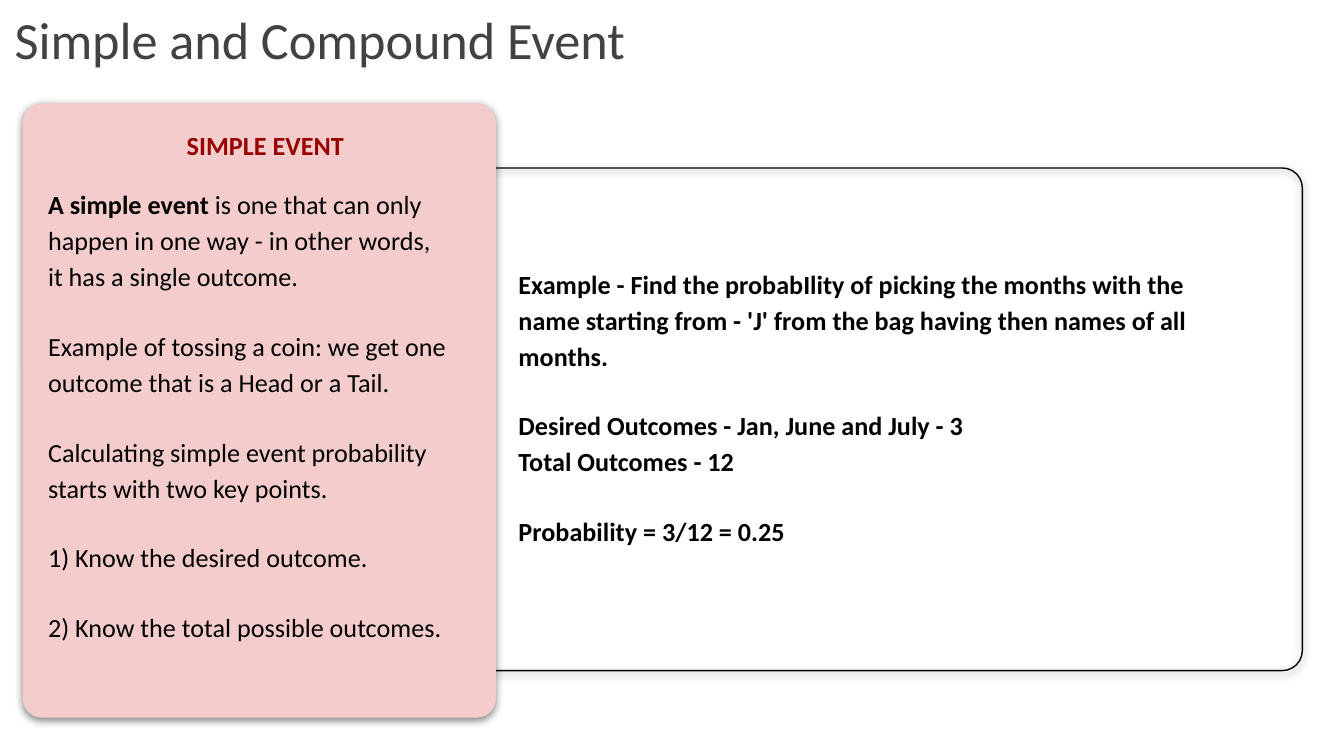
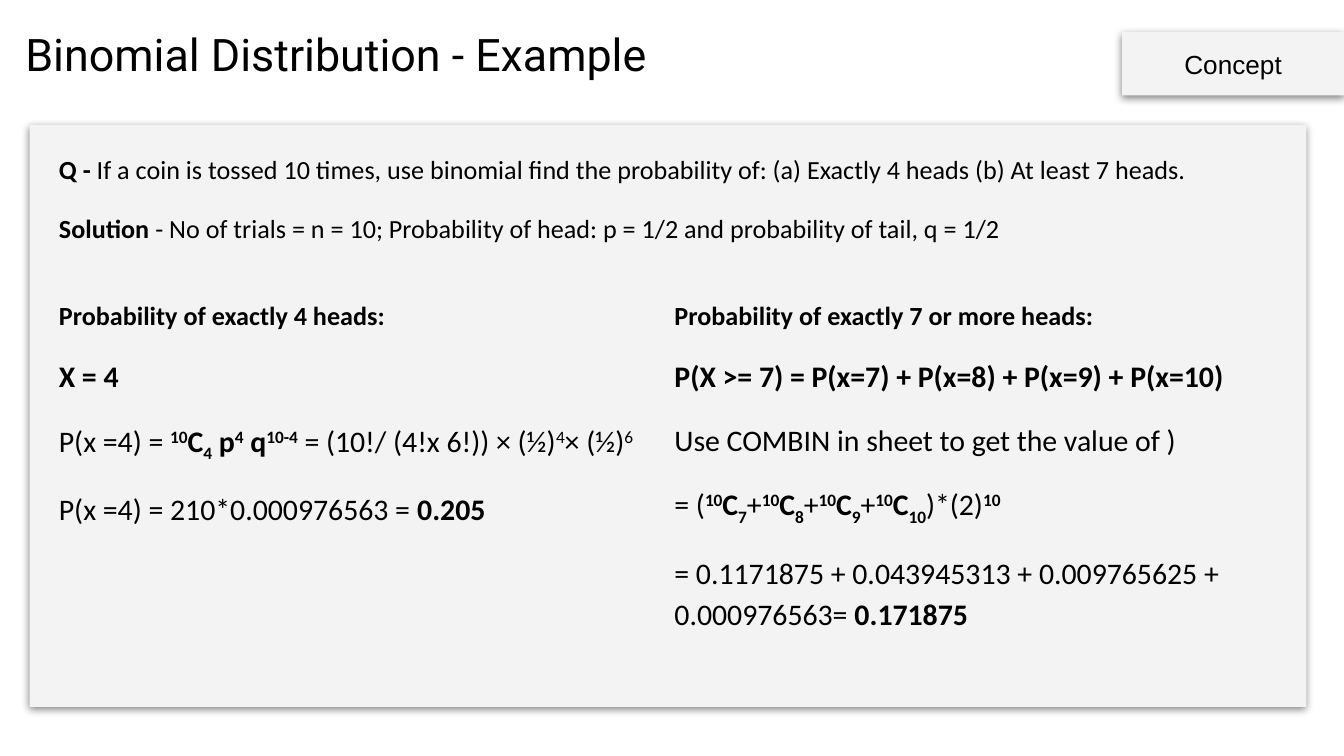
from lxml.etree import SubElement
from pptx import Presentation
from pptx.dml.color import RGBColor
from pptx.enum.shapes import MSO_SHAPE
from pptx.enum.text import MSO_ANCHOR, PP_ALIGN
from pptx.oxml.ns import qn
from pptx.util import Emu, Pt

PX = 9144  # EMU, 100 px to the inch
INSET = 10
BLACK = RGBColor(0x00, 0x00, 0x00)
GREY = RGBColor(0x42, 0x42, 0x42)
LIGHT = RGBColor(0xF3, 0xF3, 0xF3)
PINK = RGBColor(0xF4, 0xCC, 0xCC)
RED = RGBColor(0x98, 0x00, 0x00)
BASELINES = {"^": 30000, "_": -25000}


def split_spans(markup):
    """Cut markup into (text, bold, baseline): ` toggles bold, ^ superscript, _ subscript."""
    spans, text, bold, baseline = [], "", False, 0
    for char in markup + "`":
        if char != "`" and char not in BASELINES:
            text += char
            continue
        if text:
            spans.append((text, bold, baseline))
            text = ""
        if char == "`":
            bold = not bold
        else:
            baseline = 0 if baseline else BASELINES[char]
    return spans


class SlideBuilder:
    def __init__(self, deck, font="Calibri"):
        self.deck = deck
        self.font = font
        self.page = None

    def new_page(self):
        self.page = self.deck.slides.add_slide(self.deck.slide_layouts[6])

    def panel(self, left, top, width, height, fill=None, rounded=False):
        """Add a shadowed panel, outlined in black when it has no fill."""
        kind = MSO_SHAPE.ROUNDED_RECTANGLE if rounded else MSO_SHAPE.RECTANGLE
        panel = self.page.shapes.add_shape(kind, *(Emu(n * PX) for n in (left, top, width, height)))
        if rounded:
            panel.adjustments[0] = 0.04
        if fill is None:
            panel.fill.background()
            panel.line.color.rgb = BLACK
            panel.line.width = Pt(0.75)
        else:
            panel.fill.solid()
            panel.fill.fore_color.rgb = fill
            panel.line.fill.background()
        self.cast_shadow(panel)
        return panel

    def cast_shadow(self, shape):
        shape.shadow.inherit = False
        effects = shape._element.spPr.find(qn("a:effectLst"))
        shadow = SubElement(effects, qn("a:outerShdw"), blurRad=str(Pt(4.5)), dist=str(Pt(1.5)),
                            dir="5400000", algn="bl", rotWithShape="0")
        color = SubElement(shadow, qn("a:srgbClr"), val=str(BLACK))
        SubElement(color, qn("a:alpha"), val="50000")

    def text(self, left, top, width, height, *paragraphs, **style):
        box = self.page.shapes.add_textbox(*(Emu(n * PX) for n in (left, top, width, height)))
        self.set_text(box, *paragraphs, **style)

    def title(self, left, top, width, height, words, **style):
        self.text(left, top, width, height, words, anchor=MSO_ANCHOR.BOTTOM, **style)

    def set_text(self, box, *paragraphs, size=14, lead_size=None, font=None, color=BLACK, gap=0,
                 spacing=1.15, align=PP_ALIGN.LEFT, anchor=MSO_ANCHOR.TOP):
        """Fill a box with marked-up paragraphs; lead_size is the size of the first one."""
        frame = box.text_frame
        frame.word_wrap = True
        frame.vertical_anchor = anchor
        frame.margin_left = frame.margin_right = Emu(INSET * PX)
        frame.margin_top = frame.margin_bottom = Emu(INSET * PX)
        for index, markup in enumerate(paragraphs):
            para = frame.add_paragraph() if index else frame.paragraphs[0]
            para.alignment = align
            para.line_spacing = spacing
            if index:
                para.space_before = Pt(gap)
            para.font.name = font or self.font
            para.font.size = Pt(size if index or lead_size is None else lead_size)
            para.font.color.rgb = color
            self.add_spans(para, split_spans(markup))

    def add_spans(self, para, spans):
        mixed = len({bold for _, bold, _ in spans}) > 1
        if not mixed:
            para.font.bold = spans[0][1]
        for text, bold, baseline in spans:
            for number, line in enumerate(text.split("\n")):
                if number:
                    para.add_line_break()
                span = para.add_run()
                span.text = line
                if mixed:
                    span.font.bold = bold
                if baseline:
                    span._r.get_or_add_rPr().set("baseline", str(baseline))


def add_simple_event(builder):
    builder.new_page()
    builder.panel(354, 125, 615, 374, rounded=True)
    builder.title(1, -1, 932, 63, "Simple and Compound Event", size=28, color=GREY)
    builder.panel(17, 77, 352, 457, fill=PINK, rounded=True)
    builder.text(26, 86, 343, 47, "`SIMPLE EVENT`", color=RED, spacing=1.0, align=PP_ALIGN.CENTER)
    builder.text(
        376, 186, 550, 253,
        "`Example - Find the probabIlity of picking the months with the name starting from - 'J' "
        "from the bag having then names of all months.`",
        "`Desired Outcomes - Jan, June and July - 3\nTotal Outcomes - 12`",
        "`Probability = 3/12 = 0.25`",
        gap=18)
    builder.text(
        26, 127, 343, 353,
        "`A simple event `is one that can only happen in one way - in other words,\n"
        "it has a single outcome.",
        "Example of tossing a coin: we get one outcome that is a Head or a Tail.",
        "Calculating simple event probability starts with two key points.",
        "1) Know the desired outcome.",
        "2) Know the total possible outcomes.",
        gap=18)


def add_binomial_example(builder):
    builder.new_page()
    builder.title(9, 7, 575, 63, "Binomial Distribution - Example", size=24, font="Roboto",
                  spacing=1.0)
    tag = builder.panel(835, 24, 165, 47, fill=LIGHT)
    builder.set_text(tag, "Concept", font="Arial", spacing=1.0, align=PP_ALIGN.CENTER,
                     anchor=MSO_ANCHOR.MIDDLE)
    builder.panel(22, 93, 950, 433, fill=LIGHT)
    builder.text(
        34, 101, 928, 91,
        "`Q -` If a coin is tossed 10 times, use binomial find the probability of: "
        "(a) Exactly 4 heads (b) At least 7 heads.",
        "`Solution` - No of trials = n = 10; Probability of head: p = 1/2 "
        "and probability of tail, q = 1/2",
        gap=12)
    exactly_four = (
        "`Probability of exactly 4 heads:`",
        "`X = 4`",
        "P(x =4) = `^10^C_4_ p^4^ q^10-4^` = (10!/ (4!x 6!)) × (½)^4^× (½)^6^",
        "P(x =4) = 210*0.000976563 = `0.205`")
    combinations = "+".join(f"`^10^C_{heads}_`" for heads in range(7, 11))
    seven_or_more = (
        "`Probability of exactly 7 or more heads:`",
        "`P(X >= 7) = P(x=7) + P(x=8) + P(x=9) + P(x=10)`",
        "Use COMBIN in sheet to get the value of )",
        f"= ({combinations})*(2)`^10^`",
        "= 0.1171875 + 0.043945313 + 0.009765625 + 0.000976563= `0.171875`")
    for left, steps in ((34, exactly_four), (492, seven_or_more)):
        builder.text(left, 209, 460, 199, *steps, size=16, lead_size=14, gap=12)


def main():
    deck = Presentation()
    deck.slide_width, deck.slide_height = Emu(1000 * PX), Emu(5625 * PX // 10)
    builder = SlideBuilder(deck)
    add_simple_event(builder)
    add_binomial_example(builder)
    deck.save("out.pptx")


if __name__ == "__main__":
    main()
